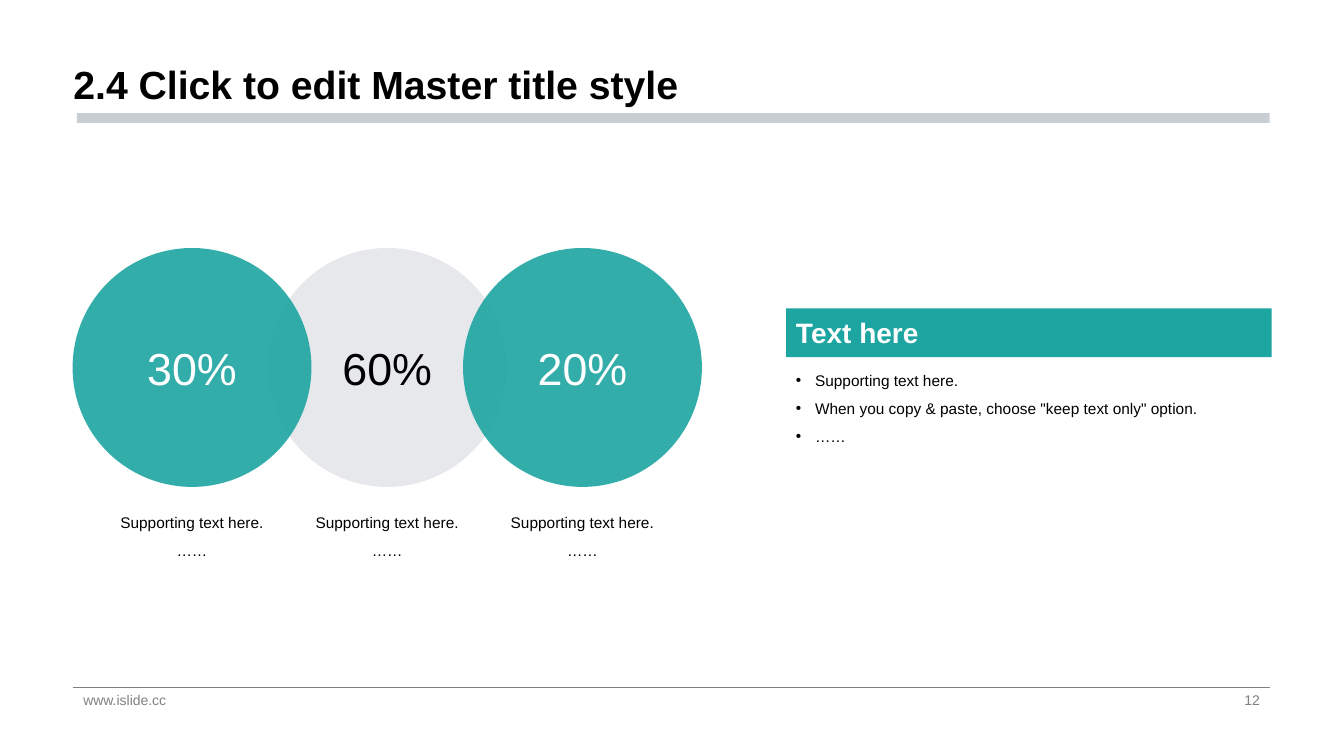
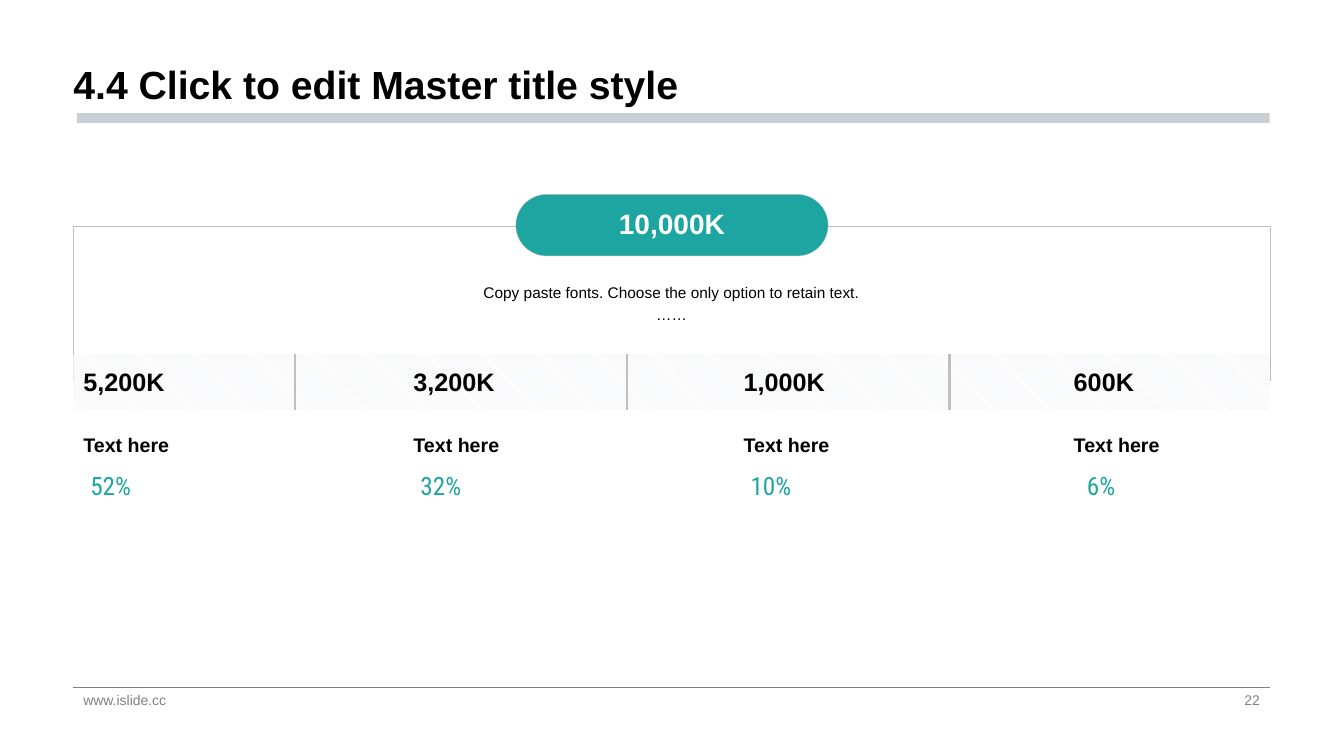
from lxml.etree import SubElement
from pptx import Presentation
from pptx.dml.color import RGBColor
from pptx.enum.dml import MSO_PATTERN
from pptx.enum.shapes import MSO_CONNECTOR, MSO_SHAPE as FORM
from pptx.enum.text import MSO_ANCHOR as ANCHOR, PP_ALIGN as ALIGN
from pptx.oxml.ns import qn
from pptx.util import Cm, Pt

TEAL = RGBColor(0x1D, 0xA5, 0xA1)
PALE = RGBColor(0xE4, 0xE6, 0xEA)
BAND = RGBColor(0xC9, 0xCE, 0xD5)
EDGE = RGBColor(0xBF, 0xBF, 0xBF)
GRAY = RGBColor(0x80, 0x80, 0x80)
BLACK = RGBColor(0, 0, 0)
WHITE = RGBColor(255, 255, 255)

LEFT, RIGHT = 1.85, 32
WIDTH = RIGHT - LEFT


def draw(slide, form, at, color, alpha=100):
    """Add a shape without outline; at is left, top, width, height in cm."""
    shape = slide.shapes.add_shape(form, *map(Cm, at))
    shape.shadow.inherit = False
    shape.fill.solid()
    shape.fill.fore_color.rgb = color
    shape.line.fill.background()
    if alpha < 100:
        tint = shape.fill._xPr.find(".//" + qn("a:srgbClr"))
        SubElement(tint, qn("a:alpha"), val=str(alpha * 1000))
    return shape


def write(shape, text, size, color=BLACK, bold=False, align=ALIGN.LEFT,
          anchor=ANCHOR.MIDDLE, gap=1.0, pad=0.25, font="Arial"):
    frame = shape.text_frame
    frame.text = text
    frame.word_wrap = True
    frame.vertical_anchor = anchor
    frame.margin_left = frame.margin_right = Cm(pad)
    for para in frame.paragraphs:
        para.alignment = align
        para.line_spacing = gap
        for run in para.runs:
            run.font.name = font
            run.font.size = Pt(size)
            run.font.bold = bold
            run.font.color.rgb = color
    return frame


deck = Presentation()
deck.slide_width, deck.slide_height = Cm(33.87), Cm(19.05)
rules = []

# Title, band and footer
for head, page in (("2.4", "12"), ("4.4", "22")):
    slide = deck.slides.add_slide(deck.slide_layouts[5])
    draw(slide, FORM.RECTANGLE, (1.94, 2.85, RIGHT - 1.94, 0.25), BAND)
    title = slide.shapes.title
    title.left, title.top = Cm(LEFT), Cm(0)
    title.width, title.height = Cm(WIDTH), Cm(2.85)
    write(title, f"{head} Click to edit Master title style", 28, bold=True,
          anchor=ANCHOR.BOTTOM, gap=0.9, pad=0)
    for text, x, w, align in (("www.islide.cc", LEFT, 11.5, ALIGN.LEFT),
                              (page, 23.92, RIGHT - 23.92, ALIGN.RIGHT)):
        box = slide.shapes.add_textbox(Cm(x), Cm(17.35), Cm(w), Cm(0.58))
        write(box, text, 10, GRAY, align=align)
    rules.append((slide, LEFT, 17.33, RIGHT, 17.33, GRAY, 0.5))

first, last = deck.slides

# Overlapping circles, the middle one at the back
SIZE, STEP = 6.02, 4.92
for i, share, fill, color in ((1, "60%", PALE, BLACK),
                              (2, "20%", TEAL, WHITE),
                              (0, "30%", TEAL, WHITE)):
    x = 1.83 + i * STEP
    disc = draw(first, FORM.OVAL, (x, 6.25, SIZE, SIZE), fill, 90)
    write(disc, share, 32, color, align=ALIGN.CENTER)
    note = first.shapes.add_textbox(Cm(x + 0.61), Cm(12.57), Cm(4.8), Cm(2.34))
    write(note, "Supporting text here.\n……", 11, align=ALIGN.CENTER,
          anchor=ANCHOR.TOP, gap=1.5)

# Heading bar and bullets
bar = draw(first, FORM.RECTANGLE, (19.81, 7.77, 12.24, 1.23), TEAL)
write(bar, "Text here", 20, WHITE, bold=True)
points = first.shapes.add_textbox(Cm(19.81), Cm(9), Cm(12.24), Cm(3.27))
frame = write(points, "Supporting text here.\n"
              'When you copy & paste, choose "keep text only" option.\n……',
              11, anchor=ANCHOR.TOP, gap=1.5)
for para in frame.paragraphs:
    props = para._p.get_or_add_pPr()
    props.set("marL", str(Cm(0.48)))
    props.set("indent", str(Cm(-0.48)))
    SubElement(props, qn("a:buFont"), typeface="Arial")
    SubElement(props, qn("a:buChar"), char="•")

# Total in a frame
panel = draw(last, FORM.RECTANGLE, (LEFT, 5.69, WIDTH, 3.89), WHITE, 70)
pill = draw(last, FORM.ROUNDED_RECTANGLE, (13, 4.9, 7.87, 1.55), TEAL)
pill.adjustments[0] = 0.5
for shape in (panel, pill):
    shape.line.color.rgb = EDGE
    shape.line.width = Pt(0.25)
write(pill, "10,000K", 20, WHITE, bold=True, align=ALIGN.CENTER, gap=0.9)
note = last.shapes.add_textbox(Cm(LEFT), Cm(6.91), Cm(WIDTH), Cm(2.64))
write(note, "Copy paste fonts. Choose the only option to retain text.\n……", 11,
      align=ALIGN.CENTER, anchor=ANCHOR.TOP, gap=1.2)

# Hatched strip with four columns
strip = draw(last, FORM.RECTANGLE, (LEFT, 8.92, WIDTH, 1.42), PALE)
strip.fill.patterned()
strip.fill.pattern = MSO_PATTERN.DARK_DOWNWARD_DIAGONAL
strip.fill.fore_color.rgb = PALE
strip.fill.back_color.rgb = WHITE
for x in (7.44, 15.8, 23.93):
    rules.append((last, x, 8.92, x, 10.34, EDGE, 1.75))

parts = (("5,200K", "52%"), ("3,200K", "32%"), ("1,000K", "10%"), ("600K", "6%"))
for i, (total, share) in enumerate(parts):
    x = LEFT + i * 8.32
    for text, y, h, size in ((total, 9.15, 0.94, 18),
                             ("Text here", 10.6, 1.22, 14)):
        box = last.shapes.add_textbox(Cm(x), Cm(y), Cm(5.2), Cm(h))
        write(box, text, size, bold=True)
    box = last.shapes.add_textbox(Cm(x + 0.23), Cm(11.73), Cm(1.42), Cm(1.07))
    write(box, share, 18, TEAL, align=ALIGN.CENTER, anchor=ANCHOR.TOP,
          pad=0, font="Roboto Condensed")

# Footer lines and column dividers
for slide, x1, y1, x2, y2, color, width in rules:
    rule = slide.shapes.add_connector(
        MSO_CONNECTOR.STRAIGHT, Cm(x1), Cm(y1), Cm(x2), Cm(y2))
    rule.line.color.rgb = color
    rule.line.width = Pt(width)
    SubElement(rule._element.spPr, qn("a:effectLst"))

deck.save("out.pptx")
